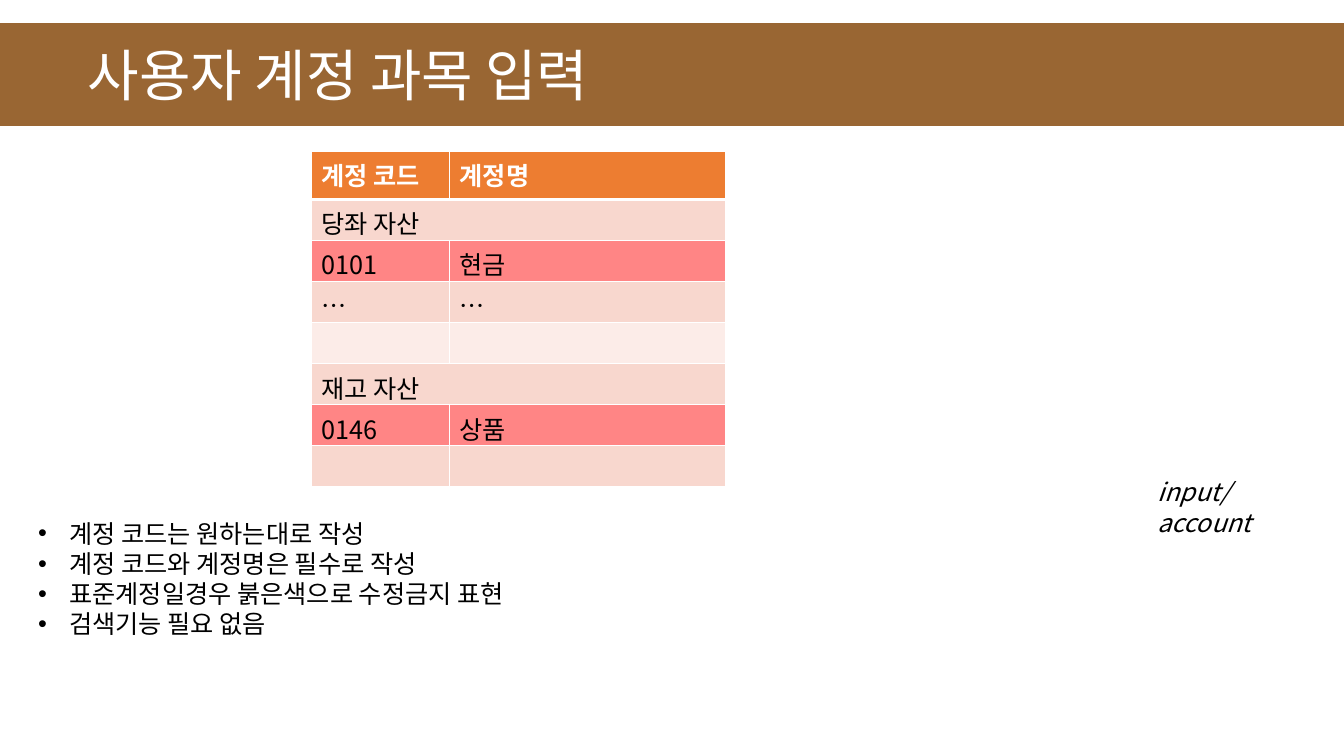
from lxml import etree
from pptx import Presentation
from pptx.dml.color import RGBColor
from pptx.enum.shapes import MSO_SHAPE
from pptx.enum.text import MSO_ANCHOR, MSO_AUTO_SIZE, PP_ALIGN
from pptx.oxml.ns import qn
from pptx.util import Inches, Pt

RECT = MSO_SHAPE.RECTANGLE
MIDDLE = MSO_ANCHOR.MIDDLE
LEFT = PP_ALIGN.LEFT
GROW = MSO_AUTO_SIZE.SHAPE_TO_FIT_TEXT

# Content
FONT = "Noto Sans CJK KR"
TITLE = "사용자 계정 과목 입력"
ROUTE = "input/account"
NOTES = [
    "계정 코드는 원하는대로 작성",
    "계정 코드와 계정명은 필수로 작성",
    "표준계정일경우 붉은색으로 수정금지 표현",
    "검색기능 필요 없음",
]
WHITE, BLACK, BROWN = "FFFFFF", "000000", "996633"
HEAD, BAND, PALE, LOCKED = "ED7D31", "F8D7CE", "FCECE8", "FF2121"
LOCKED_ALPHA = 55
# One entry per row: fill and cell texts; a single text spans the row
ACCOUNTS = [
    (HEAD, ["계정 코드", "계정명"]),
    (BAND, ["당좌 자산"]),
    (LOCKED, ["0101", "현금"]),
    (BAND, ["…", "…"]),
    (PALE, ["", ""]),
    (BAND, ["재고 자산"]),
    (LOCKED, ["0146", "상품"]),
    (BAND, ["", ""]),
]

# Layout in inches
SLIDE_W, SLIDE_H = 13.33, 7.5
TABLE_X, TABLE_Y, TABLE_W, TABLE_H = 3.09, 1.5, 4.11, 3.33
HEAD_H = 0.48
ROW_H = (TABLE_H - HEAD_H) / (len(ACCOUNTS) - 1)
COLS = [TABLE_W / 3, TABLE_W * 2 / 3]
INDENT = 0.31


def rgb(value):
    return RGBColor.from_string(value)


def add_run(p, text, size=18, color=BLACK, bold=False, italic=False):
    r = p.add_run()
    r.text = text
    f = r.font
    f.size, f.bold, f.italic = Pt(size), bold, italic
    f.color.rgb = rgb(color)
    f.name = FONT
    etree.SubElement(r._r.get_or_add_rPr(), qn("a:ea"), typeface=FONT)


def add_text_frame(x, y, w, h):
    tf = s.shapes.add_textbox(*map(Inches, (x, y, w, h))).text_frame
    tf.word_wrap = True
    tf.auto_size = GROW
    return tf


def add_bullet(p):
    pPr = p._p.get_or_add_pPr()
    pPr.set("marL", str(Inches(INDENT)))
    pPr.set("indent", str(-Inches(INDENT)))
    etree.SubElement(pPr, qn("a:buFont"), typeface="Arial")
    etree.SubElement(pPr, qn("a:buChar"), char="•")


def style_cell(cell, color, bottom):
    cell.fill.solid()
    cell.fill.fore_color.rgb = rgb(color)
    tcPr = cell._tc.get_or_add_tcPr()
    if color == LOCKED:
        clr = tcPr.find(qn("a:solidFill"))[0]
        etree.SubElement(clr, qn("a:alpha"), val=str(LOCKED_ALPHA * 1000))
    # Borders come before the fill
    for i, side in enumerate(("lnL", "lnR", "lnT", "lnB")):
        width = bottom if side == "lnB" else 1
        ln = etree.Element(qn("a:" + side), w=str(Pt(width)))
        fill = etree.SubElement(ln, qn("a:solidFill"))
        etree.SubElement(fill, qn("a:srgbClr"), val=WHITE)
        tcPr.insert(i, ln)


prs = Presentation()
prs.slide_width, prs.slide_height = Inches(SLIDE_W), Inches(SLIDE_H)
s = prs.slides.add_slide(prs.slide_layouts[6])

# Title bar
bar = s.shapes.add_shape(RECT, 0, Inches(0.23), prs.slide_width, Inches(1.02))
bar.shadow.inherit = False
bar.fill.solid()
bar.fill.fore_color.rgb = rgb(BROWN)
bar.line.fill.background()
tf = bar.text_frame
tf.vertical_anchor = MIDDLE
tf.margin_left = Inches(0.87)
p = tf.paragraphs[0]
p.alignment = LEFT
add_run(p, TITLE, size=40, color=WHITE)

# Notes
tf = add_text_frame(0.28, 5.09, 5.33, 1.31)
for i, note in enumerate(NOTES):
    p = tf.add_paragraph() if i else tf.paragraphs[0]
    add_bullet(p)
    add_run(p, note)

# Account table
frame = s.shapes.add_table(len(ACCOUNTS), len(COLS),
                           *map(Inches, (TABLE_X, TABLE_Y, TABLE_W, TABLE_H)))
table = frame.table
table.horz_banding = False
for col, width in zip(table.columns, COLS):
    col.width = Inches(width)
for i, (color, texts) in enumerate(ACCOUNTS):
    is_head = i == 0
    table.rows[i].height = Inches(HEAD_H if is_head else ROW_H)
    for j in range(len(COLS)):
        style_cell(table.cell(i, j), color, 3 if is_head else 1)
    if len(texts) == 1:
        table.cell(i, 0).merge(table.cell(i, len(COLS) - 1))
    for j, text in enumerate(texts):
        if text:
            add_run(table.cell(i, j).text_frame.paragraphs[0], text,
                    color=WHITE if is_head else BLACK, bold=is_head)

# Route label
tf = add_text_frame(11.38, 4.68, 1.79, 0.4)
add_run(tf.paragraphs[0], ROUTE, italic=True)

prs.save("out.pptx")
